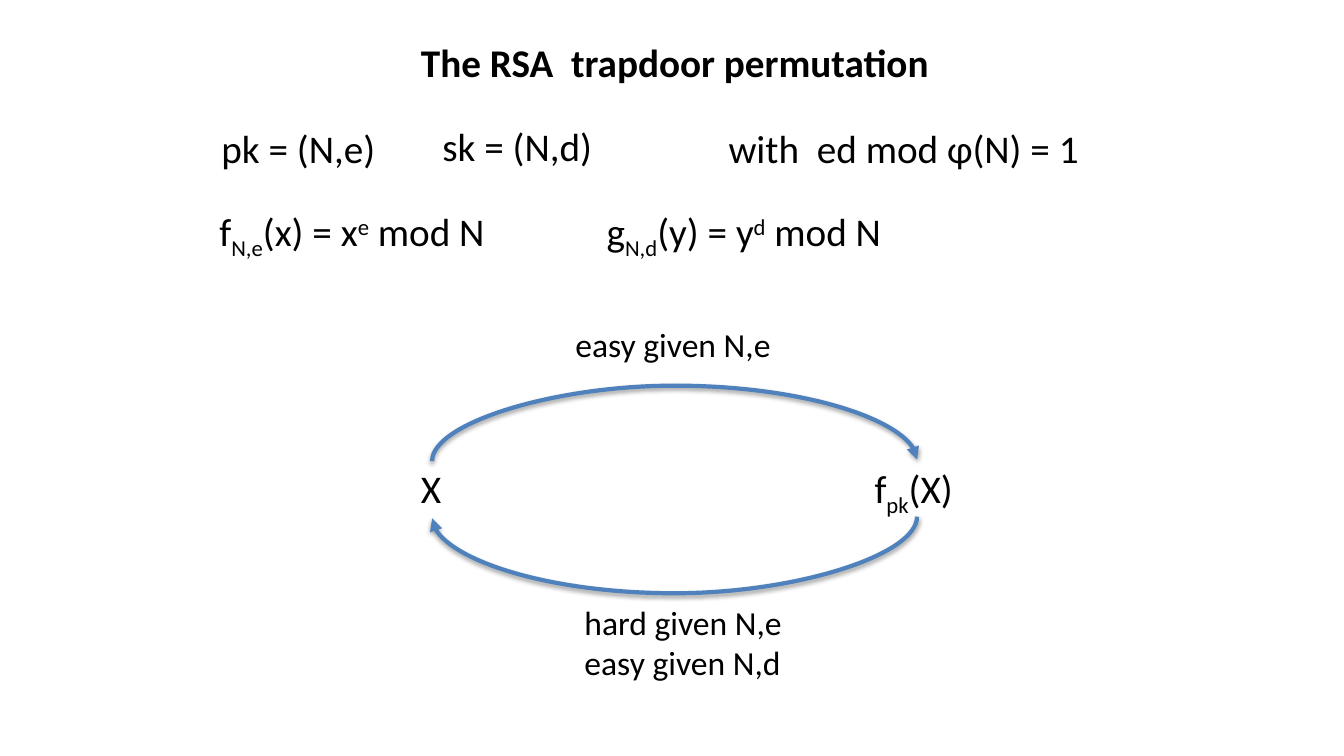
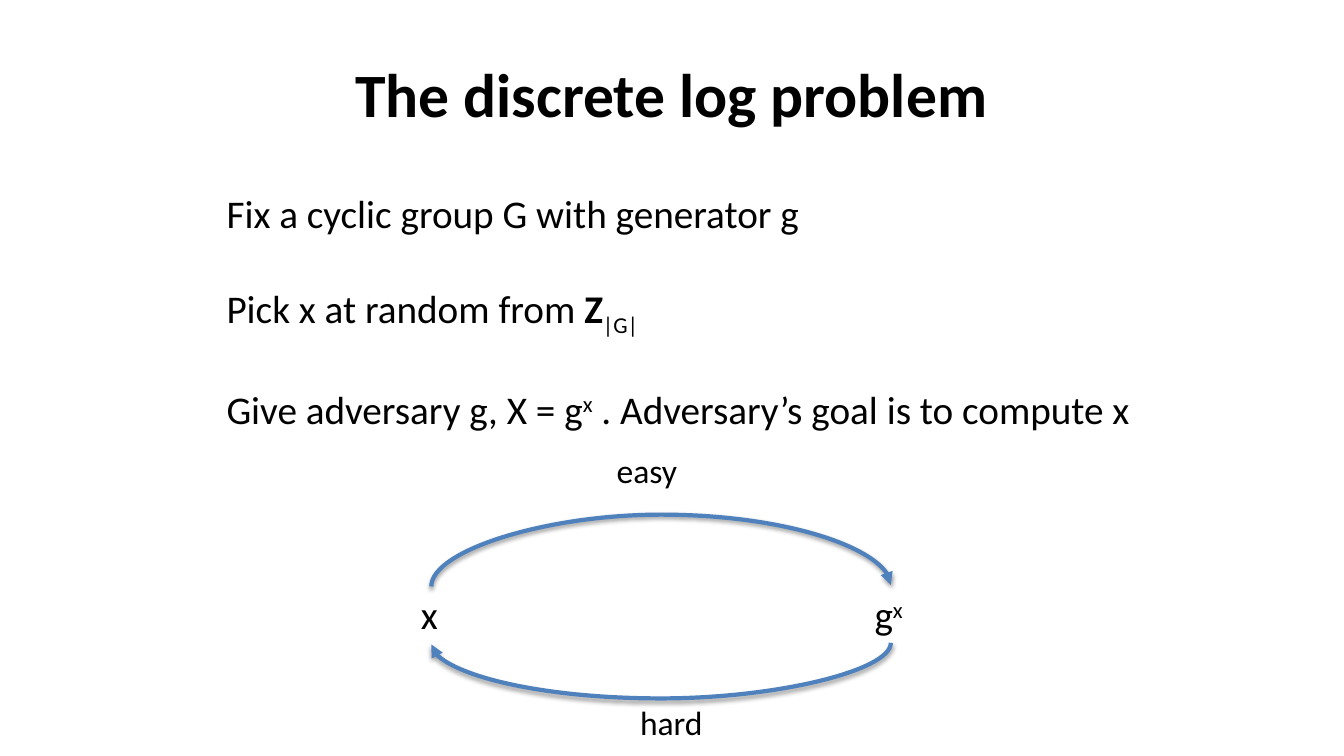
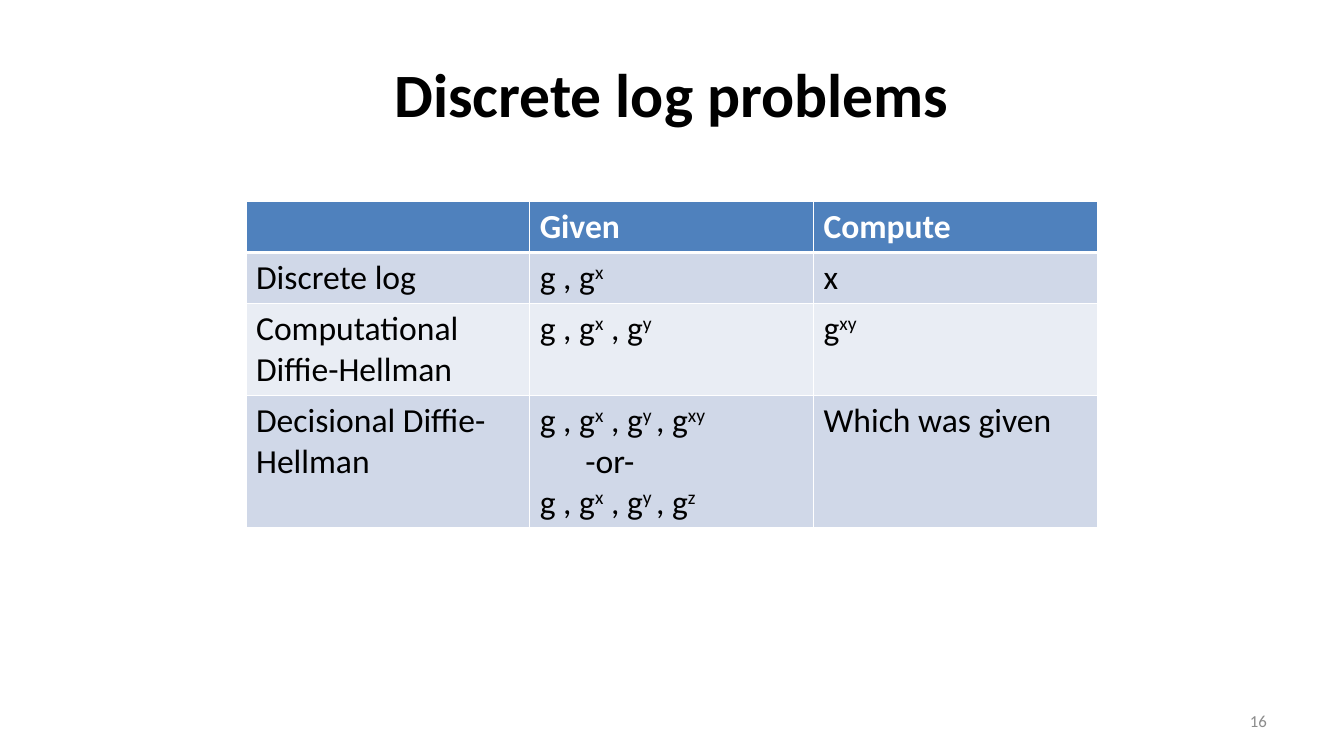
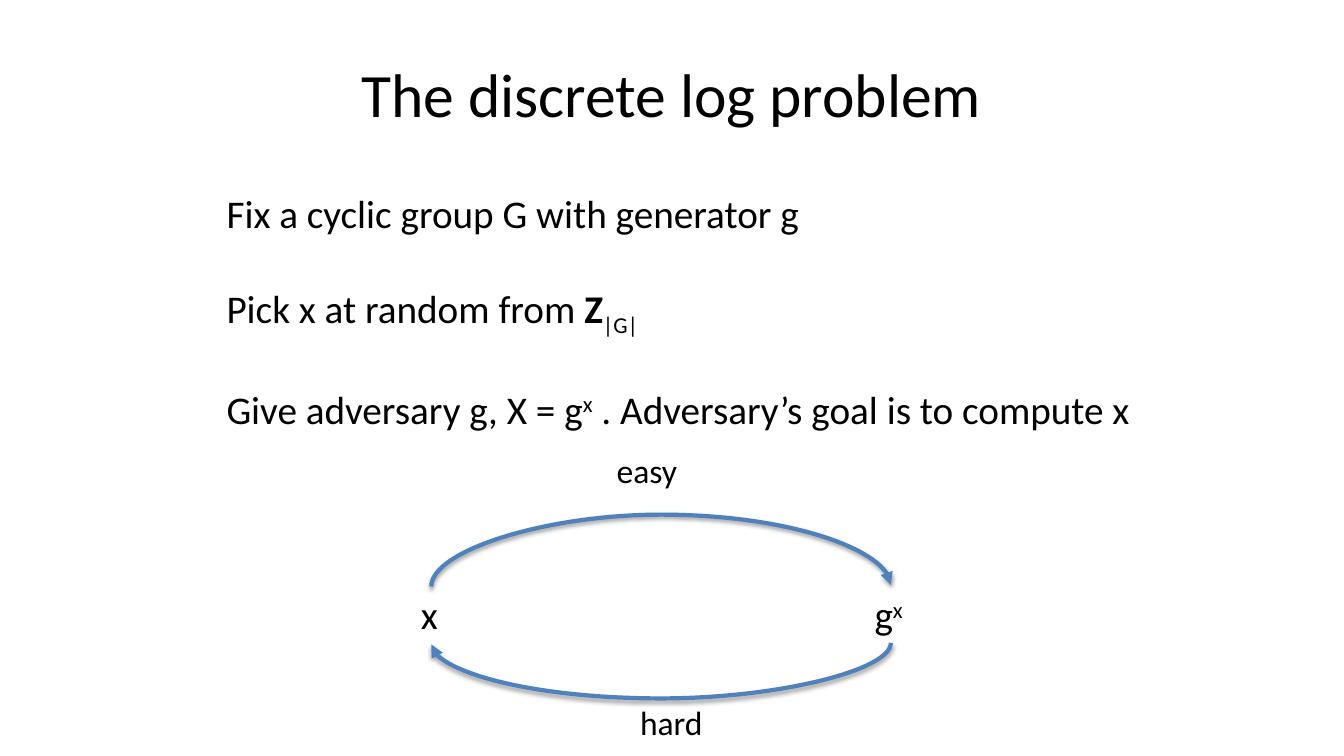
from lxml import etree
from pptx import Presentation
from pptx.dml.color import RGBColor
from pptx.enum.shapes import MSO_CONNECTOR
from pptx.enum.text import MSO_ANCHOR, MSO_AUTO_SIZE, PP_ALIGN
from pptx.oxml import parse_xml
from pptx.oxml.ns import nsdecls, qn
from pptx.util import Cm, Pt

COLORS = {
    "text": "000000",
    "accent": "4F81BD",
    "white": "FFFFFF",
    "band_dark": "D0D8E8",
    "band_light": "E9EDF4",
    "number": "8C8C8C",
}


def sub(text):
    return text, {"baseline": -25000}


def sup(text):
    return text, {"baseline": 30000}


def bold(text):
    return text, {"bold": True}


class Deck:
    font = "Calibri"
    width, height = 33.87, 19.05

    def __init__(self):
        self.presentation = Presentation()
        self.presentation.slide_width = Cm(self.width)
        self.presentation.slide_height = Cm(self.height)
        self.slide = None

    def new_slide(self):
        layout = self.presentation.slide_layouts[6]
        self.slide = self.presentation.slides.add_slide(layout)

    def fill_text(self, frame, paragraphs, size, color="text", is_bold=False,
                  align=PP_ALIGN.LEFT, gap=0):
        for index, runs in enumerate(paragraphs):
            paragraph = frame.add_paragraph() if index else frame.paragraphs[0]
            paragraph.alignment = align
            if index and gap:
                paragraph.space_before = Pt(gap)
            for item in runs:
                text, style = (item, {}) if isinstance(item, str) else item
                run = paragraph.add_run()
                run.text = text
                run.font.name = self.font
                run.font.size = Pt(size)
                run.font.bold = style.get("bold", is_bold)
                run.font.color.rgb = RGBColor.from_string(COLORS[color])
                if "baseline" in style:
                    run.font._element.set("baseline", str(style["baseline"]))

    def box(self, left, top, width, height, anchor, wrap):
        shape = self.slide.shapes.add_textbox(Cm(left), Cm(top), Cm(width), Cm(height))
        frame = shape.text_frame
        frame.word_wrap = wrap
        frame.vertical_anchor = anchor
        return frame

    def label(self, left, top, width, *paragraphs, size=28, **style):
        height = 0.25 + len(paragraphs) * size * 0.043
        frame = self.box(left, top, width, height, MSO_ANCHOR.TOP, False)
        frame.auto_size = MSO_AUTO_SIZE.SHAPE_TO_FIT_TEXT
        self.fill_text(frame, paragraphs, size, **style)

    def title(self, text, is_bold=True):
        frame = self.box(1.69, 0.76, 30.48, 3.18, MSO_ANCHOR.MIDDLE, True)
        self.fill_text(frame, [[text]], 44, is_bold=is_bold, align=PP_ALIGN.CENTER)

    def page_number(self, number):
        frame = self.box(24.28, 17.65, 7.9, 1.01, MSO_ANCHOR.MIDDLE, True)
        self.fill_text(frame, [[str(number)]], 12, color="number", align=PP_ALIGN.RIGHT)

    def arc(self, center_x, center_y, span, bulge, upward):
        thickness = 0.04
        start = center_x - thickness / 2, center_y - span / 2
        end = center_x + thickness / 2, center_y + span / 2
        if upward:
            start, end = end, start
        connector = self.slide.shapes.add_connector(
            MSO_CONNECTOR.CURVE, *(Cm(value) for value in start + end))
        connector.line.color.rgb = RGBColor.from_string(COLORS["accent"])
        connector.line.width = Pt(3)
        properties = connector._element.spPr
        properties.find(qn("a:xfrm")).set("rot", "5400000")
        guides = properties.find(qn("a:prstGeom")).find(qn("a:avLst"))
        etree.SubElement(guides, qn("a:gd"), name="adj1",
                         fmla=f"val {round(bulge / thickness * 100000)}")
        etree.SubElement(properties.find(qn("a:ln")), qn("a:tailEnd"), type="triangle")
        properties.append(parse_xml(
            f'<a:effectLst {nsdecls("a")}><a:outerShdw blurRad="40000" dist="20000" '
            'dir="5400000" rotWithShape="0"><a:srgbClr val="000000">'
            '<a:alpha val="38000"/></a:srgbClr></a:outerShdw></a:effectLst>'))

    def cell_borders(self, cell, bottom):
        properties = cell._tc.get_or_add_tcPr()
        widths = {"lnL": 1, "lnR": 1, "lnT": 1, "lnB": bottom}
        for index, (side, width) in enumerate(widths.items()):
            properties.insert(index, parse_xml(
                f'<a:{side} {nsdecls("a")} w="{Pt(width)}"><a:solidFill>'
                f'<a:srgbClr val="{COLORS["white"]}"/></a:solidFill></a:{side}>'))

    def table(self, left, top, column_width, row_heights, rows):
        columns = len(rows[0])
        table = self.slide.shapes.add_table(
            len(rows), columns, Cm(left), Cm(top),
            Cm(column_width * columns), Cm(sum(row_heights))).table
        for column in table.columns:
            column.width = Cm(column_width)
        for row_index, row in enumerate(rows):
            table.rows[row_index].height = Cm(row_heights[row_index])
            header = row_index == 0
            band = "band_dark" if row_index % 2 else "band_light"
            for column_index, paragraphs in enumerate(row):
                cell = table.cell(row_index, column_index)
                cell.fill.solid()
                cell.fill.fore_color.rgb = RGBColor.from_string(
                    COLORS["accent" if header else band])
                self.cell_borders(cell, 3 if header else 1)
                self.fill_text(cell.text_frame, paragraphs, 24,
                               color="white" if header else "text", is_bold=header)
        return table


def rsa_slide(deck):
    deck.new_slide()
    deck.label(10.36, 11.58, 1.04, ["X"])
    deck.label(21.79, 11.58, 2.59, ["f", sub("pk"), "(X)"])
    deck.arc(17, 11.6, 12.22, 1.9, True)
    deck.arc(17, 13.04, 12.22, 1.93, False)
    deck.label(14.25, 8.05, 5.51, ["easy given N,e"], size=24)
    deck.label(14.48, 15.04, 5.54, ["hard given N,e"], ["easy given N,d"], size=24)
    deck.label(10.36, 0.84, 13.46, ["The RSA  trapdoor permutation"], is_bold=True)
    deck.label(5.33, 3, 4.42, ["pk = (N,e)"])
    deck.label(10.9, 2.97, 4.32, ["sk = (N,d)"])
    deck.label(18.11, 3, 9.68, ["with  ed mod φ(N) = 1"])
    deck.label(5.28, 5.11, 7.44, ["f", sub("N,e"), "(x) = x", sup("e"), " mod N"])
    deck.label(15.04, 5.11, 7.67, ["g", sub("N,d"), "(y) = y", sup("d"), " mod N"])


def discrete_log_slide(deck, bold_title):
    deck.new_slide()
    deck.label(10.36, 14.76, 0.94, ["x"])
    deck.label(21.79, 14.76, 1.27, ["g", sup("x")])
    deck.arc(16.66, 14.76, 11.58, 1.81, True)
    deck.arc(16.66, 16.22, 11.58, 1.4, False)
    deck.label(15.29, 11.2, 2.08, ["easy"], size=24)
    deck.label(15.88, 17.55, 2.11, ["hard"], size=24)
    deck.title("The discrete log problem", bold_title)
    deck.label(5.46, 4.65, 23.67,
               ["Fix a cyclic group G with generator g"],
               ["Pick x at random from ", bold("Z"), sub("|G|")],
               ["Give adversary g, X = g", sup("x"),
                " . Adversary’s goal is to compute x"],
               gap=34)


def problems_slide(deck):
    deck.new_slide()
    deck.title("Discrete log problems")
    deck.page_number(16)
    pair = ["g , g", sup("x")]
    triple = pair + [" , g", sup("y")]
    quadruple = pair + [" , g", sup("y "), ", g"]
    table = deck.table(6.2, 5.08, 7.15, [1.28, 1.28, 2.33, 3.33], [
        [[], [["Given"]], [["Compute"]]],
        [[["Discrete log"]], [pair], [["x"]]],
        [[["Computational Diffie-Hellman"]], [triple], [["g", sup("xy")]]],
        [[["Decisional Diffie-Hellman"]],
         [quadruple + [sup("xy")], ["-or-"], quadruple + [sup("z")]],
         [["Which was given"]]],
    ])
    alternative = table.cell(3, 1).text_frame.paragraphs[1]
    alternative._p.get_or_add_pPr().set("marL", str(Cm(1.15)))


def main():
    deck = Deck()
    rsa_slide(deck)
    discrete_log_slide(deck, True)
    problems_slide(deck)
    discrete_log_slide(deck, False)
    deck.presentation.save("out.pptx")


if __name__ == "__main__":
    main()
